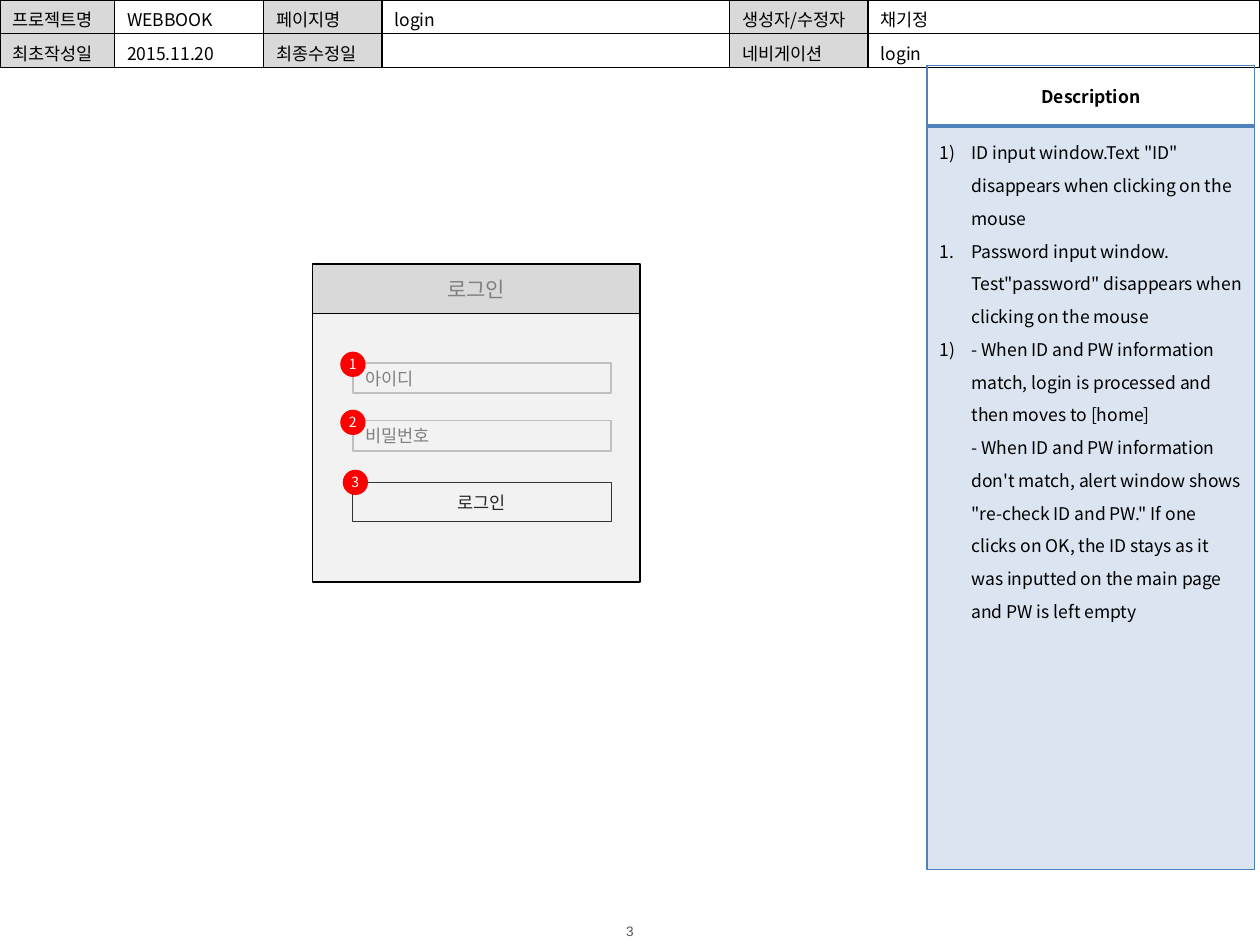
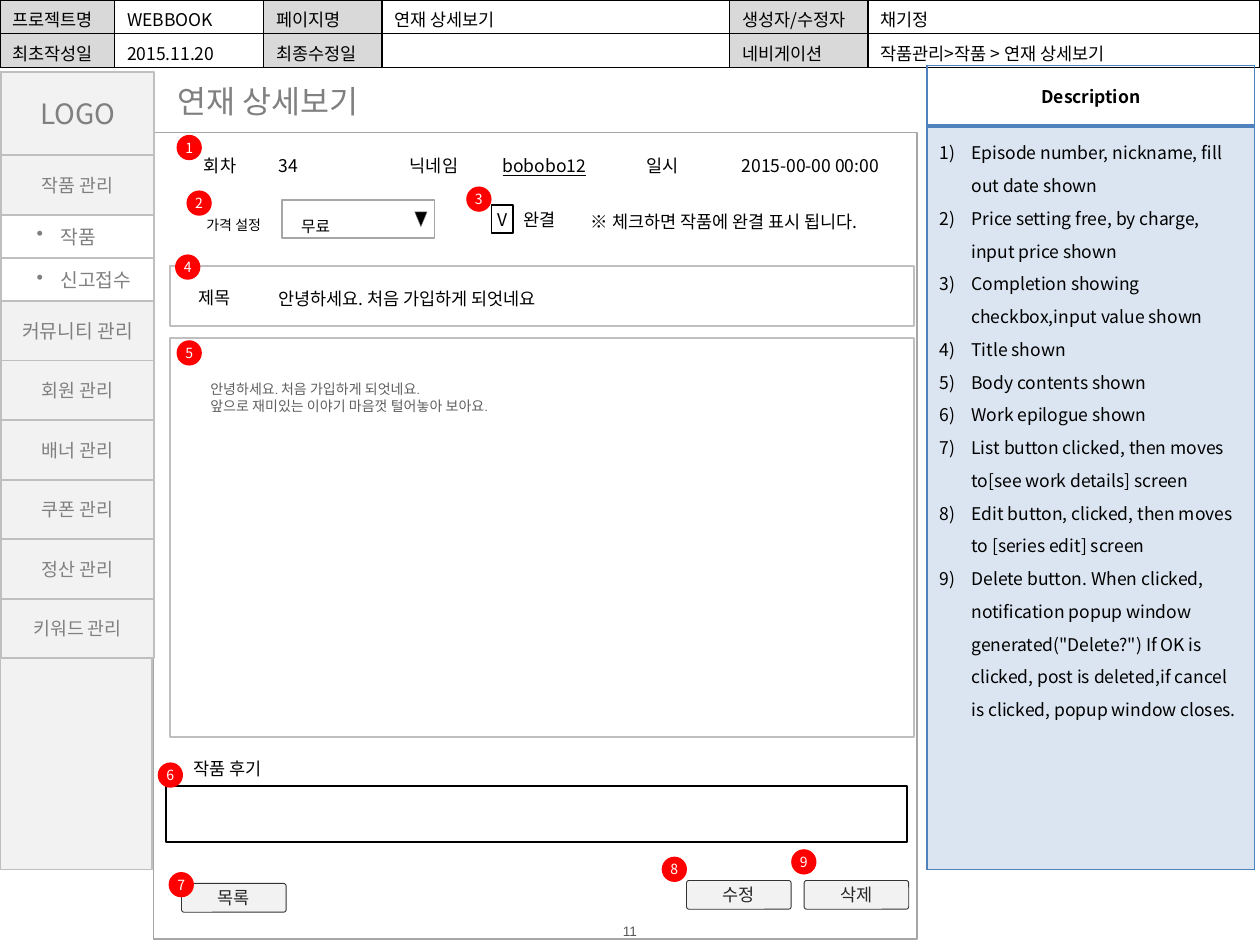
"""Build two storyboard slides: the login page and the episode detail page."""
from copy import deepcopy
from dataclasses import dataclass, field

from lxml.etree import SubElement
from pptx import Presentation
from pptx.dml.color import RGBColor
from pptx.enum.shapes import MSO_SHAPE as Preset
from pptx.enum.text import MSO_ANCHOR as Anchor, PP_ALIGN as Align
from pptx.oxml.ns import qn
from pptx.util import Cm, Pt

SANS = "Noto Sans CJK KR"
BLACK, WHITE, RED, BLUE = "000000", "FFFFFF", "FF0000", "4F81BD"
INK, EDGE, GREY, BAND = "262626", "333333", "808080", "D9D9D9"
PALE, SILVER, FRAME = "F2F2F2", "BFBFBF", "A6A6A6"
NO_GRID = "{2D5ABB26-0587-4C30-8999-92F81FD0307C}"
NO_MARGIN = (0, 0, 0, 0)


@dataclass
class Style:
    """Look of a run of text and of its paragraph."""
    size: float = 10
    color: str = BLACK
    font: str = SANS
    bold: bool = False
    underline: bool = False
    align: Align = Align.LEFT
    spacing: float = 1.0


@dataclass
class Bullet:
    """List mark of a paragraph: its tag, its attributes and its hanging indent."""
    tag: str
    attributes: dict[str, str]
    indent: float = 0.64


@dataclass
class Box:
    """A shape, or a text box where preset is None, measured in centimetres."""
    left: float
    top: float
    width: float
    height: float
    text: str = ""
    style: Style = field(default_factory=Style)
    preset: Preset | None = Preset.RECTANGLE
    fill: str | None = None
    line: str | None = None
    weight: float = 1
    anchor: Anchor = Anchor.MIDDLE
    margins: tuple[float, ...] = (0.25, 0.13, 0.25, 0.13)
    wrap: bool = True
    bullet: Bullet | None = None
    rotation: float = 0


@dataclass
class Cell:
    """A table cell; borders map an edge (L, R, T, B) to a colour and a width."""
    paragraphs: list[tuple[str, Bullet | None]]
    style: Style = field(default_factory=Style)
    fill: str | None = None
    alpha: int = 100
    borders: dict[str, tuple[str, float]] = field(default_factory=dict)
    anchor: Anchor = Anchor.TOP


@dataclass
class Page:
    """Contents of the parts that every slide shares."""
    number: str
    name: str
    navigation: str
    notes: list[tuple[str, Bullet]]


CENTERED = Style(align=Align.CENTER)
BUTTON = Style(color=INK, font="Calibri", align=Align.CENTER)
BADGE = Style(8, WHITE, align=Align.CENTER)
STEP = Bullet("a:buAutoNum", {"type": "arabicParenR"})
POINT = Bullet("a:buAutoNum", {"type": "arabicPeriod"})
DOT = Bullet("a:buChar", {"char": "•"}, 0.48)


def rgb(color: str) -> RGBColor:
    """Turn a hex string into a colour."""
    return RGBColor.from_string(color)


def set_all(target, values: dict) -> None:
    """Set every attribute named in values."""
    for name, value in values.items():
        setattr(target, name, value)


def paint(fill, color: str | None) -> None:
    """Fill with a solid colour, or with nothing."""
    if color is None:
        fill.background()
    else:
        fill.solid()
        fill.fore_color.rgb = rgb(color)


def write(paragraph, text: str, style: Style, bullet: Bullet | None = None) -> None:
    """Put styled text, with an optional bullet, into a paragraph."""
    paragraph.text = text
    set_all(paragraph, {"alignment": style.align, "line_spacing": style.spacing})
    for run in paragraph.runs:
        set_all(run.font, {"size": Pt(style.size), "name": style.font,
                           "bold": style.bold, "underline": style.underline})
        run.font.color.rgb = rgb(style.color)
        SubElement(run._r.rPr, qn("a:ea"), typeface=SANS)
    for line_break in paragraph._p.findall(qn("a:br")):
        line_break.append(deepcopy(paragraph.runs[0]._r.rPr))
    if not text:
        SubElement(paragraph._p, qn("a:endParaRPr"), sz=str(int(style.size * 100)))
    if bullet:
        properties = paragraph._p.get_or_add_pPr()
        indent = Cm(bullet.indent)
        properties.set("marL", str(indent))
        properties.set("indent", str(-indent))
        SubElement(properties, qn(bullet.tag), bullet.attributes)


def add_box(slide, box: Box) -> None:
    """Draw one shape or text box."""
    place = [Cm(length) for length in (box.left, box.top, box.width, box.height)]
    if box.preset is None:
        shape = slide.shapes.add_textbox(*place)
    else:
        shape = slide.shapes.add_shape(box.preset, *place)
        shape.shadow.inherit = False
        shape.rotation = box.rotation
        if box.preset == Preset.ROUNDED_RECTANGLE:
            shape.adjustments[0] = 0.09
        paint(shape.fill, box.fill)
        paint(shape.line.fill, box.line)
        if box.line:
            shape.line.width = Pt(box.weight)
    frame = shape.text_frame
    left, top, right, bottom = (Cm(margin) for margin in box.margins)
    set_all(frame, {"word_wrap": box.wrap, "vertical_anchor": box.anchor,
                    "margin_left": left, "margin_top": top,
                    "margin_right": right, "margin_bottom": bottom})
    for index, line in enumerate(box.text.split("\n") if box.text else []):
        paragraph = frame.add_paragraph() if index else frame.paragraphs[0]
        write(paragraph, line, box.style, box.bullet)


def add_label(slide, left: float, top: float, width: float, height: float,
              text: str, style: Style | None = None, **options) -> None:
    """Draw a text box."""
    add_box(slide, Box(left, top, width, height, text, style or Style(), None, **options))


def add_badges(slide, places: list[tuple[float, float]]) -> None:
    """Draw the red circles, numbered in order."""
    for number, (left, top) in enumerate(places, 1):
        add_box(slide, Box(left, top, 0.51, 0.51, str(number), BADGE, Preset.OVAL,
                           RED, margins=NO_MARGIN))


def add_grid(slide, left: float, top: float, widths: list[float],
             heights: list[float], rows: list[list[Cell]]) -> None:
    """Draw a table."""
    table = slide.shapes.add_table(len(heights), len(widths), Cm(left), Cm(top),
                                   Cm(sum(widths)), Cm(sum(heights))).table
    set_all(table, {"first_row": False, "horz_banding": False})
    table._tbl.tblPr.find(qn("a:tableStyleId")).text = NO_GRID
    for column, width in zip(table.columns, widths):
        column.width = Cm(width)
    for row, height, contents in zip(table.rows, heights, rows):
        row.height = Cm(height)
        for cell, content in zip(row.cells, contents):
            fill_cell(cell, content)


def fill_cell(cell, content: Cell) -> None:
    """Give a cell its borders, fill and text."""
    properties = cell._tc.get_or_add_tcPr()
    for edge in "LRTB":
        if edge in content.borders:
            color, width = content.borders[edge]
            line = SubElement(properties, qn(f"a:ln{edge}"), w=str(Pt(width)))
            SubElement(SubElement(line, qn("a:solidFill")), qn("a:srgbClr"), val=color)
    paint(cell.fill, content.fill)
    if content.alpha < 100:
        color_element = properties.find(qn("a:solidFill"))[0]
        SubElement(color_element, qn("a:alpha"), val=str(content.alpha * 1000))
    cell.vertical_anchor = content.anchor
    for index, (text, bullet) in enumerate(content.paragraphs):
        frame = cell.text_frame
        paragraph = frame.add_paragraph() if index else frame.paragraphs[0]
        write(paragraph, text, content.style, bullet)


def add_page(presentation, page: Page):
    """Add a slide with its number, header table and description table."""
    slide = presentation.slides.add_slide(presentation.slide_layouts[6])
    add_label(slide, 11.61, 18.59, 2.18, 0.36, page.number,
              Style(7.8, "595959", "Arial", align=Align.CENTER), margins=NO_MARGIN)
    header = [["프로젝트명", "WEBBOOK", "페이지명", page.name, "생성자/수정자", "채기정"],
              ["최초작성일", "2015.11.20", "최종수정일", "", "네비게이션", page.navigation]]
    outline = dict.fromkeys("LRTB", (BLACK, 1))
    add_grid(slide, 0, 0, [2.31, 3, 2.39, 7.01, 2.79, 7.9], [0.68, 0.68],
             [[Cell([(text, None)], fill=None if index % 2 else BAND, borders=outline)
               for index, text in enumerate(row)] for row in header])
    thin, thick = (BLUE, 1), (BLUE, 2)
    sides = {"L": thin, "R": thin}
    heading = Cell([("Description", None)], Style(bold=True, align=Align.CENTER),
                   borders=sides | {"T": thin, "B": thick}, anchor=Anchor.MIDDLE)
    notes = Cell(page.notes, Style(spacing=1.3), BLUE, 20, sides | {"T": thick, "B": thin})
    add_grid(slide, 18.69, 1.32, [6.6], [1.22, 14.99], [[heading], [notes]])
    return slide


def add_login(presentation) -> None:
    """Build the login page."""
    slide = add_page(presentation, Page("3", "login", "login", [
        ('ID input window.Text "ID" disappears when clicking on the mouse', STEP),
        ('Password input window. Test"password" disappears when clicking on the mouse', POINT),
        ("- When ID and PW information match, login is processed and then moves to [home]\v"
         "- When ID and PW information don't match, alert window shows "
         '"re-check ID and PW." If one clicks on OK, the ID stays as it was inputted '
         "on the main page and PW is left empty", STEP)]))
    add_box(slide, Box(6.3, 6.32, 6.6, 5.41, fill=PALE, line=BLACK))
    add_box(slide, Box(6.3, 5.33, 6.6, 0.99, "로그인", Style(12, GREY, align=Align.CENTER),
                       fill=BAND, line=BLACK))
    for top, hint in ((7.32, "아이디"), (8.48, "비밀번호")):
        add_box(slide, Box(7.11, top, 5.21, 0.61, hint, Style(color=GREY),
                           fill=PALE, line=SILVER))
    add_box(slide, Box(7.11, 9.73, 5.21, 0.79, "로그인", BUTTON,
                       fill=PALE, line=EDGE, weight=0.5))
    add_badges(slide, [(6.86, 7.09), (6.86, 8.26), (6.91, 9.47)])


def add_menu(slide) -> None:
    """Stack the side menu from the top down."""
    add_box(slide, Box(0, 1.45, 3.07, 16.08, fill=PALE, line=SILVER))
    entries = [("LOGO", 16, 1.68), ("작품 관리", 10.5, 1.2), ("작품", 11, 0.87),
               ("신고접수", 11, 0.87), ("커뮤니티 관리", 11, 1.2)]
    entries += [(f"{topic} 관리", 10.5, 1.2)
                for topic in ("회원", "배너", "쿠폰", "정산", "키워드")]
    top = 1.45
    for text, size, height in entries:
        if height < 1:
            box = Box(0.03, top, 3.07, height, text, Style(size, GREY), fill=WHITE,
                      line=SILVER, margins=(0.71, 0.13, 0.25, 0.13), bullet=DOT)
        else:
            box = Box(0.03, top, 3.07, height, text,
                      Style(size, GREY, align=Align.CENTER), fill=PALE, line=SILVER)
        add_box(slide, box)
        top += height


def add_detail(presentation) -> None:
    """Build the episode detail page."""
    notes = ["Episode number, nickname, fill out date shown",
             "Price setting free, by charge, input price shown",
             "Completion showing checkbox,input value shown", "Title shown",
             "Body contents shown", "Work epilogue shown",
             "List button clicked, then moves to[see work details] screen",
             "Edit button, clicked, then moves to [series edit] screen",
             'Delete button. When clicked, notification popup window generated("Delete?") '
             "If OK is clicked, post is deleted,if cancel is clicked, popup window closes."]
    slide = add_page(presentation, Page("11", "연재 상세보기", "작품관리>작품 > 연재 상세보기",
                                        [(note, STEP) for note in notes]))
    add_label(slide, 3.33, 1.52, 4.6, 1.02, "연재 상세보기", Style(18, GREY),
              anchor=Anchor.TOP, wrap=False)
    add_box(slide, Box(3.1, 2.67, 15.39, 16.26, line=FRAME, weight=0.75))
    facts = [("회차", CENTERED), ("34", Style()), ("닉네임", CENTERED),
             ("bobobo12", Style(underline=True)), ("일시", CENTERED),
             ("2015-00-00 00:00", CENTERED)]
    add_grid(slide, 3.51, 2.95, [1.85, 2.26, 2.26, 2.44, 2.06, 3.91], [0.69],
             [[Cell([(text, None)], style, anchor=Anchor.MIDDLE) for text, style in facts]])
    for top, height in ((5.36, 1.22), (6.81, 8.05)):
        add_box(slide, Box(3.43, top, 14.99, height, line=SILVER))
    add_label(slide, 3.76, 5.66, 4.8, 0.69, "제목")
    add_label(slide, 5.36, 5.69, 8.26, 0.64, "안녕하세요. 처음 가입하게 되엇네요")
    add_label(slide, 3.99, 7.54, 13.72, 0.94,
              "안녕하세요. 처음 가입하게 되엇네요.\n앞으로 재미있는 이야기 마음껏 털어놓아 보아요.",
              Style(8, "5F5F5F", "Cabin"), anchor=Anchor.TOP)
    for left, top, text in ((3.66, 17.81, "목록"), (13.84, 17.75, "수정"), (16.21, 17.75, "삭제")):
        add_box(slide, Box(left, top, 2.11, 0.58, text, BUTTON, Preset.ROUNDED_RECTANGLE,
                           PALE, EDGE, 0.5))
    add_menu(slide)
    add_label(slide, 3.91, 4.06, 1.65, 0.71, "가격 설정", Style(8, spacing=1.5),
              anchor=Anchor.TOP, wrap=False)
    add_box(slide, Box(5.69, 4.04, 3.07, 0.76, fill=WHITE, line=FRAME))
    add_box(slide, Box(8.36, 4.27, 0.25, 0.3, preset=Preset.ISOSCELES_TRIANGLE,
                       fill=BLACK, line=GREY, weight=0.25, rotation=180))
    add_label(slide, 5.82, 4.04, 1.12, 0.76, "무료", Style(9, spacing=1.5),
              anchor=Anchor.TOP, wrap=False)
    add_box(slide, Box(9.91, 4.14, 0.43, 0.56, "V", CENTERED, line=BLACK, wrap=False))
    add_label(slide, 10.34, 4.17, 1.09, 0.53, "완결", CENTERED, margins=NO_MARGIN)
    add_label(slide, 11.91, 4.17, 6.05, 0.58, "※ 체크하면 작품에 완결 표시 됩니다.",
              margins=NO_MARGIN)
    add_box(slide, Box(3.35, 15.85, 14.94, 1.12, line=BLACK))
    add_label(slide, 3.66, 15.14, 3.05, 0.71, "작품 후기")
    add_badges(slide, [(3.56, 2.72), (3.76, 3.84), (9.4, 3.76), (3.53, 5.13), (3.56, 6.86),
                       (3.18, 15.37), (3.4, 17.58), (13.34, 17.27), (15.95, 17.12)])


def main() -> None:
    """Build and save the presentation."""
    presentation = Presentation()
    set_all(presentation, {"slide_width": Cm(25.4), "slide_height": Cm(19.05)})
    add_login(presentation)
    add_detail(presentation)
    presentation.save("out.pptx")


if __name__ == "__main__":
    main()
